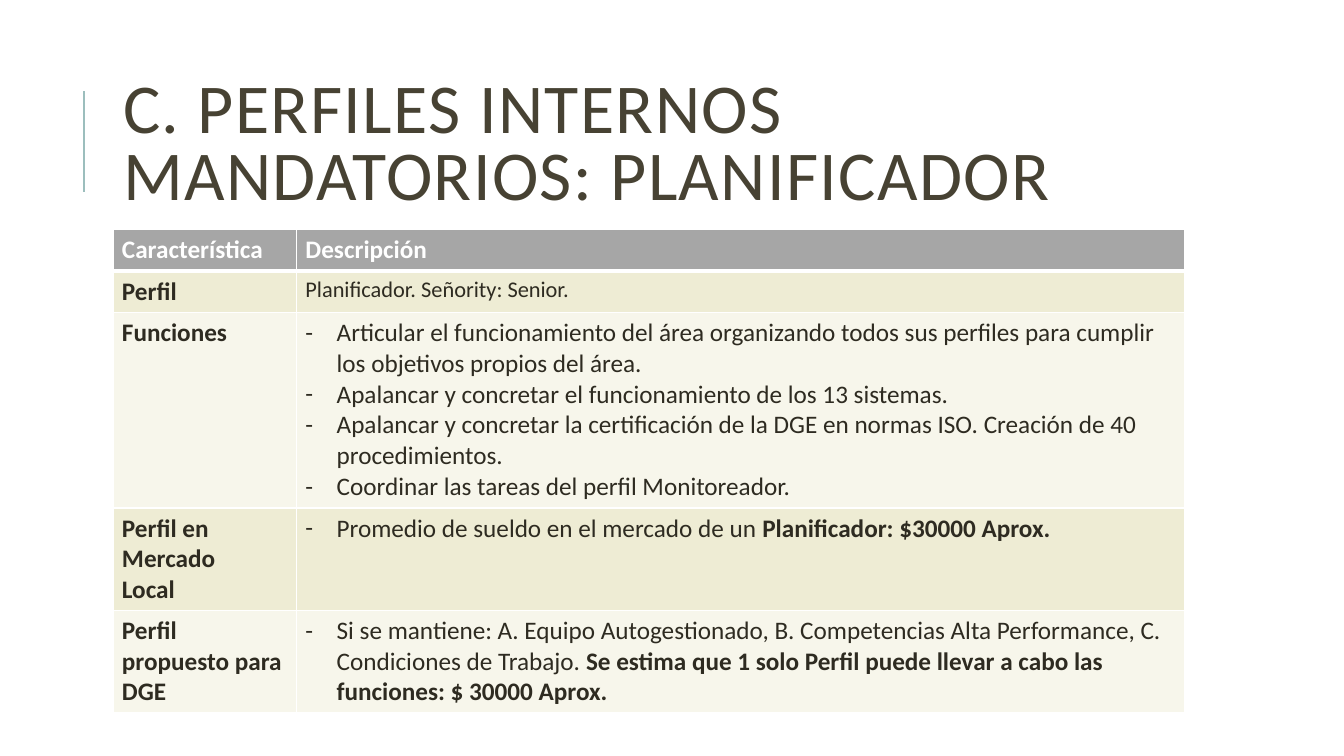
from lxml.etree import SubElement
from pptx import Presentation
from pptx.dml.color import RGBColor
from pptx.enum.shapes import MSO_CONNECTOR as CONNECTOR
from pptx.enum.text import MSO_ANCHOR as ANCHOR, MSO_AUTO_SIZE as AUTO_SIZE, PP_ALIGN as ALIGN
from pptx.oxml.ns import qn
from pptx.util import Inches, Pt

COLORS = {
    "white": "FFFFFF",
    "title": "474233",
    "text": "2E2B21",
    "accent": "9CBEBD",
    "header": "A6A6A6",
    "band_dark": "EEECD4",
    "band_light": "F7F6EB",
}

FUNCTIONS = [
    "Articular el funcionamiento del área organizando todos sus perfiles para cumplir "
    "los objetivos propios del área.",
    "Apalancar y concretar el funcionamiento de los 13 sistemas.",
    "Apalancar y concretar la certificación de la DGE en normas ISO. Creación de 40 procedimientos.",
    "Coordinar las tareas del perfil Monitoreador.",
]
MARKET = ["Promedio de sueldo en el mercado de un ", "Planificador: $30000 Aprox."]
PROPOSAL = [
    "Si se mantiene: A. Equipo Autogestionado, B. Competencias Alta Performance, C. "
    "Condiciones de Trabajo. ",
    "Se estima que 1 solo Perfil puede llevar a cabo las funciones: $ 30000 Aprox.",
]
PROFILE_ROWS = [
    (0.41, ["Perfil"], [["Planificador. Señority: Senior."]], dict(size=16)),
    (1.94, ["Funciones"], [[function] for function in FUNCTIONS], dict(dash=True)),
    (1.01, ["Perfil en Mercado", "Local"], [MARKET], dict(dash=True)),
    (1.01, ["Perfil propuesto para DGE"], [PROPOSAL], dict(dash=True)),
]


def rgb(name):
    return RGBColor.from_string(COLORS[name])


def add_run(paragraph, text, size=18, color="text", bold=False, spacing=0):
    run = paragraph.add_run()
    run.text = text
    run.font.name = "Calibri"
    run.font.size = Pt(size)
    run.font.bold = bold
    run.font.color.rgb = rgb(color)
    if spacing:
        run.font._element.set("spc", str(spacing * 100))


def add_dash(paragraph):
    properties = paragraph._p.get_or_add_pPr()
    properties.set("marL", str(Inches(0.31)))
    properties.set("indent", str(-Inches(0.31)))
    SubElement(properties, qn("a:buFont"), typeface="Calibri")
    SubElement(properties, qn("a:buChar"), char="-")


class ProfileSlide:
    def __init__(self, presentation):
        self.slide = presentation.slides.add_slide(presentation.slide_layouts[5])

    def title(self, text, left, top, width, height):
        heading = self.slide.shapes.title
        heading.left, heading.top = Inches(left), Inches(top)
        heading.width, heading.height = Inches(width), Inches(height)
        frame = heading.text_frame
        frame.word_wrap = True
        frame.auto_size = AUTO_SIZE.NONE
        frame.vertical_anchor = ANCHOR.MIDDLE
        paragraph = frame.paragraphs[0]
        paragraph.alignment = ALIGN.LEFT
        paragraph.line_spacing = 0.8
        add_run(paragraph, text, size=50, color="title", spacing=1)

    def line(self, x1, y1, x2, y2):
        rule = self.slide.shapes.add_connector(
            CONNECTOR.STRAIGHT, Inches(x1), Inches(y1), Inches(x2), Inches(y2))
        rule.line.color.rgb = rgb("accent")
        rule.line.width = Pt(1.5)
        SubElement(rule._element.spPr, qn("a:effectLst"))

    def cell(self, cell, paragraphs, fill, top=1, bottom=1, dash=False, bold=False, **style):
        cell.margin_left = cell.margin_right = Inches(0.09)
        cell.margin_top = cell.margin_bottom = Inches(0.05)
        properties = cell._tc.get_or_add_tcPr()
        for side, width in zip("LRTB", (1, 1, top, bottom)):
            border = SubElement(properties, qn(f"a:ln{side}"), w=str(Pt(width)))
            solid = SubElement(border, qn("a:solidFill"))
            SubElement(solid, qn("a:srgbClr"), val=COLORS["white"])
        cell.fill.solid()
        cell.fill.fore_color.rgb = rgb(fill)
        frame = cell.text_frame
        for index, parts in enumerate(paragraphs):
            paragraph = frame.add_paragraph() if index else frame.paragraphs[0]
            if dash:
                add_dash(paragraph)
            for part_index, text in enumerate(parts):
                add_run(paragraph, text, bold=bold or part_index == 1, **style)

    def table(self, headings, rows, left, top, widths, header_height):
        heights = [header_height] + [row[0] for row in rows]
        table = self.slide.shapes.add_table(
            len(heights), len(widths), Inches(left), Inches(top),
            Inches(sum(widths)), Inches(sum(heights))).table
        for column, width in zip(table.columns, widths):
            column.width = Inches(width)
        for row, height in zip(table.rows, heights):
            row.height = Inches(height)
        for index, heading in enumerate(headings):
            self.cell(table.cell(0, index), [[heading]], "header", bottom=3,
                      color="white", bold=True)
        for index, (_, label, description, style) in enumerate(rows, 1):
            fill = "band_dark" if index % 2 else "band_light"
            top_border = 3 if index == 1 else 1
            self.cell(table.cell(index, 0), [[text] for text in label], fill,
                      top=top_border, bold=True)
            self.cell(table.cell(index, 1), description, fill, top=top_border, **style)


def main():
    presentation = Presentation()
    presentation.slide_width = Inches(13.33)
    presentation.slide_height = Inches(7.5)
    page = ProfileSlide(presentation)
    page.line(0.83, 1.9, 0.83, 0.9)
    page.title("C. PERFILES INTERNOS MANDATORIOS: PLANIFICADOR", 1.12, 0.64, 10.63, 1.64)
    page.table(["Característica", "Descripción"], PROFILE_ROWS, 1.12, 2.28, [1.82, 8.81], 0.41)
    presentation.save("out.pptx")


if __name__ == "__main__":
    main()
